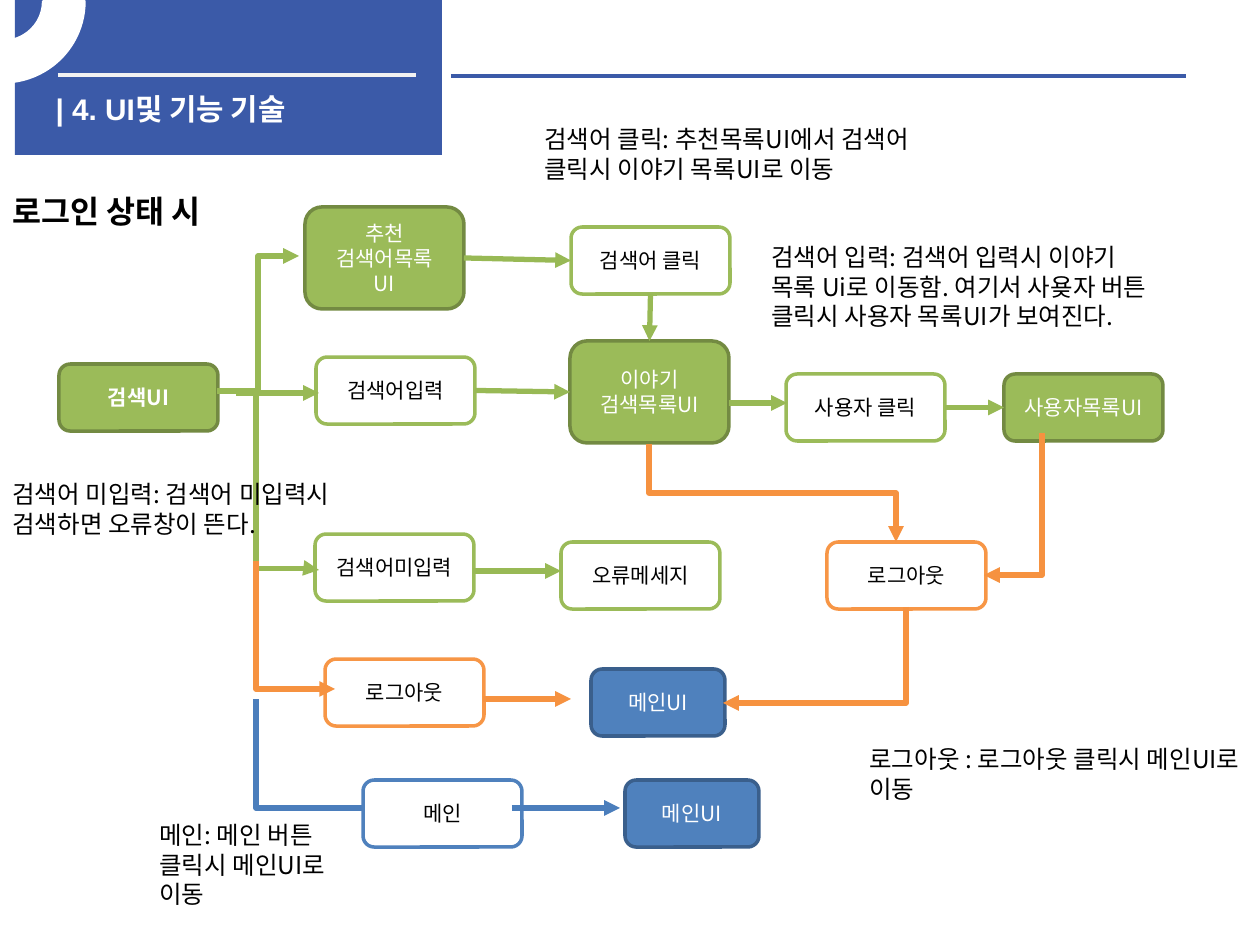
from dataclasses import dataclass

from lxml import etree
from pptx import Presentation
from pptx import util as u
from pptx.dml.color import RGBColor
from pptx.enum import shapes, text
from pptx.oxml import ns

PX = 914400 / 126
TOP, LEFT, BOTTOM, RIGHT = range(4)


@dataclass(frozen=True)
class Theme:
    navy: str = "3B5AA8"
    white: str = "FFFFFF"
    pale: str = "F2F2F2"
    black: str = "000000"
    green: str = "9BBB59"
    green_edge: str = "738A42"
    green_flow: str = "98B955"
    blue: str = "4F81BD"
    blue_edge: str = "3A5F8C"
    blue_flow: str = "4B7EBC"
    orange: str = "F79646"
    orange_flow: str = "F69240"
    latin: str = "Arial"
    korean: str = "Noto Sans CJK KR"
    heading: int = 18
    title: int = 17
    note: int = 14
    label: int = 12
    edge: float = 2
    rule: float = 2.25
    flow: float = 3


def emu(*lengths):
    return [u.Emu(round(length * PX)) for length in lengths]


def child(parent, tag, **attributes):
    return etree.SubElement(parent, ns.qn(tag), **attributes)


def write(frame, words, size, color, font, korean, bold=False,
          align=text.PP_ALIGN.LEFT, anchor=text.MSO_ANCHOR.TOP):
    """Fill a text frame, one paragraph for each line of words."""
    frame.word_wrap = True
    frame.vertical_anchor = anchor
    for index, line in enumerate(words.split("\n")):
        para = frame.add_paragraph() if index else frame.paragraphs[0]
        para.alignment = align
        span = para.add_run()
        span.text = line
        span.font.size = u.Pt(size)
        span.font.bold = bold
        span.font.name = font
        span.font.color.rgb = RGBColor.from_string(color)
        child(span.font._element, "a:ea", typeface=korean)


class Painter:
    def __init__(self, page, theme):
        self.page = page
        self.theme = theme

    def shape(self, kind, area, fill, edge=None):
        item = self.page.shapes.add_shape(kind, *emu(*area))
        item.shadow.inherit = False
        item.fill.solid()
        item.fill.fore_color.rgb = RGBColor.from_string(fill)
        if edge:
            item.line.color.rgb = RGBColor.from_string(edge)
            item.line.width = u.Pt(self.theme.edge)
        else:
            item.line.fill.background()
        return item

    def box(self, words, area, fill, edge, bold=False):
        item = self.shape(shapes.MSO_SHAPE.ROUNDED_RECTANGLE, area, fill, edge)
        color = self.theme.black if fill == self.theme.white else self.theme.white
        write(item.text_frame, words, self.theme.label, color, self.theme.korean,
              self.theme.korean, bold, text.PP_ALIGN.CENTER, text.MSO_ANCHOR.MIDDLE)
        return item

    def title(self, words, area):
        item = self.page.shapes.title
        item.left, item.top, item.width, item.height = emu(*area)
        item.text_frame.auto_size = text.MSO_AUTO_SIZE.NONE
        write(item.text_frame, words, self.theme.title, self.theme.white,
              self.theme.latin, self.theme.korean, bold=True)
        # Bring the title in front of the banner.
        item.element.getparent().append(item.element)

    def note(self, words, area, size, bold=False):
        frame = self.page.shapes.add_textbox(*emu(*area)).text_frame
        frame.auto_size = text.MSO_AUTO_SIZE.SHAPE_TO_FIT_TEXT
        write(frame, words, size, self.theme.black, self.theme.korean,
              self.theme.korean, bold)

    def line(self, start, end, color, width, arrow=True,
             kind=shapes.MSO_CONNECTOR.STRAIGHT):
        item = self.page.shapes.add_connector(kind, *emu(*start, *end))
        item.line.color.rgb = RGBColor.from_string(color)
        item.line.width = u.Pt(width)
        if arrow:
            child(item.line._get_or_add_ln(), "a:tailEnd", type="triangle")
        child(item.element.spPr, "a:effectLst")
        return item

    def arrow(self, start, end, color):
        return self.line(start, end, color, self.theme.flow)

    def join(self, source, side, target, target_side, color):
        item = self.arrow((0, 0), (1, 1), color)
        item.begin_connect(source, side)
        item.end_connect(target, target_side)

    def elbow(self, start, end, color, bend=None, down=False):
        """Bent arrow; bend is the share of the way to the turn, None for one corner.

        With down the arrow leaves downwards, as a turned horizontal connector.
        """
        (x1, y1), (x2, y2) = start, end
        rightward = x2 > x1
        if down:
            mid_x, mid_y = (x1 + x2) / 2, (y1 + y2) / 2
            half_w, half_h = (y2 - y1) / 2, abs(x2 - x1) / 2
            if rightward:
                half_w = -half_w
            start = mid_x - half_w, mid_y - half_h
            end = mid_x + half_w, mid_y + half_h
        item = self.line(start, end, color, self.theme.flow,
                         kind=shapes.MSO_CONNECTOR.ELBOW)
        properties = item.element.spPr
        if down:
            turn = 270 if rightward else 90
            properties.find(ns.qn("a:xfrm")).set("rot", str(turn * 60000))
        geometry = properties.find(ns.qn("a:prstGeom"))
        if bend is None:
            geometry.set("prst", "bentConnector2")
        else:
            guides = geometry.find(ns.qn("a:avLst"))
            if guides is None:
                guides = child(geometry, "a:avLst")
            child(guides, "a:gd", name="adj1", fmla=f"val {round(bend * 100000)}")


def draw_header(painter):
    theme = painter.theme
    painter.shape(shapes.MSO_SHAPE.RECTANGLE, (15, 0, 427, 155), theme.navy)
    painter.line((58, 75), (416, 75), theme.pale, theme.rule, arrow=False)
    painter.line((451, 76), (1186, 76), theme.navy, theme.rule, arrow=False)
    arc = painter.shape(shapes.MSO_SHAPE.BLOCK_ARC, (-79, -79, 163, 161),
                        theme.white, theme.white)
    for index, value in enumerate((96.95, 0, 0.25)):
        arc.adjustments[index] = value
    arc.element.spPr.find(ns.qn("a:xfrm")).set("flipV", "1")
    painter.title("| 4. UI및 기능 기술", (43, 84, 372, 44))


def draw_flow(painter):
    theme = painter.theme
    screen = theme.green, theme.green_edge
    main = theme.blue, theme.blue_edge
    action = theme.white, theme.green
    leave = theme.white, theme.orange
    wide, narrow, low, tall = 159, 134, 67, 102

    painter.elbow((256, 699), (383, 808), theme.blue_flow, bend=0)
    painter.box("검색UI", (59, 364, wide, low), *screen, bold=True)
    suggest = painter.box("추천\n검색어목록\nUI", (305, 207, wide, tall), *screen)
    stories = painter.box("이야기\n검색목록UI", (570, 341, wide, tall), *screen)
    users = painter.box("사용자목록UI", (1004, 374, wide, low), *screen)
    word_click = painter.box("검색어 클릭", (571, 227, wide, low), *action)
    word_input = painter.box("검색어입력", (316, 357, wide, low), *action)
    user_click = painter.box("사용자 클릭", (786, 374, wide, low), *action)
    for words, x, y, width, look in (
            ("검색어미입력", 315, 534, wide, action),
            ("오류메세지", 561, 542, wide, action),
            ("로그아웃", 325, 659, wide, leave),
            ("로그아웃", 827, 542, wide, leave),
            ("메인UI", 591, 669, narrow, main),
            ("메인UI", 625, 780, narrow, main),
            ("메인", 363, 780, wide, (theme.white, theme.blue))):
        painter.box(words, (x, y, width, low), *look)

    for source, side, target, target_side in (
            (suggest, RIGHT, word_click, LEFT), (word_input, RIGHT, stories, LEFT),
            (word_click, BOTTOM, stories, TOP), (user_click, RIGHT, users, LEFT)):
        painter.join(source, side, target, target_side, theme.green_flow)
    for x1, x2, y, color in (
            (236, 319, 393, theme.green_flow), (729, 787, 403, theme.green_flow),
            (473, 561, 571, theme.green_flow), (483, 571, 699, theme.orange_flow),
            (512, 620, 808, theme.blue_flow)):
        painter.arrow((x1, y), (x2, y), color)

    painter.elbow((217, 391), (299, 256), theme.green_flow, bend=0.5)
    painter.elbow((256, 393), (319, 570), theme.green_flow, bend=0.99, down=True)
    painter.elbow((256, 561), (335, 689), theme.orange_flow, bend=1, down=True)
    painter.elbow((649, 444), (896, 542), theme.orange_flow, bend=0.5, down=True)
    painter.elbow((906, 607), (723, 703), theme.orange_flow, down=True)
    painter.elbow((1042, 433), (984, 575), theme.orange_flow, down=True)


def draw_notes(painter):
    theme = painter.theme
    painter.note("로그인 상태 시", (0, 186, 276, 50), theme.heading, bold=True)
    for words, area in (
            ("검색어 클릭: 추천목록UI에서 검색어 클릭시 이야기 목록UI로 이동",
             (532, 118, 403, 72)),
            ("검색어 입력: 검색어 입력시 이야기 목록 Ui로 이동함. 여기서 사욪자 버튼 "
             "클릭시 사용자 목록UI가 보여진다.", (759, 236, 403, 161)),
            ("검색어 미입력: 검색어 미입력시 검색하면 오류창이 뜬다.",
             (0, 473, 403, 102)),
            ("로그아웃 : 로그아웃 클릭시 메인UI로 이동", (857, 738, 403, 102)),
            ("메인: 메인 버튼 클릭시 메인UI로 이동", (147, 814, 227, 131))):
        painter.note(words, area, theme.note)


def main():
    deck = Presentation()
    deck.slide_width, deck.slide_height = emu(1260, 945)
    painter = Painter(deck.slides.add_slide(deck.slide_layouts[5]), Theme())
    draw_header(painter)
    draw_flow(painter)
    draw_notes(painter)
    deck.save("out.pptx")


if __name__ == "__main__":
    main()
